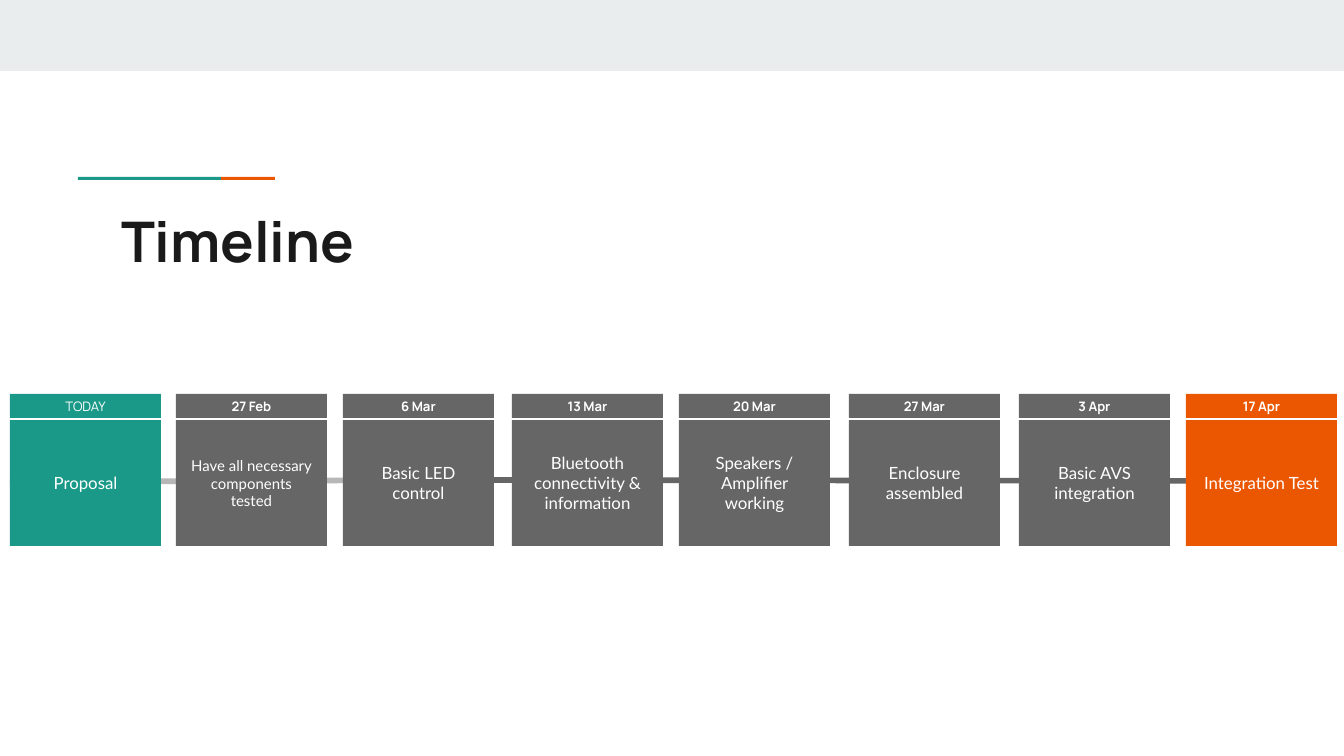
"""Build a project timeline slide with eight dated milestones."""
import dataclasses

import pptx
import pptx.dml.color
import pptx.enum.shapes
import pptx.enum.text
import pptx.oxml
import pptx.oxml.ns
import pptx.util

EMU_PER_PX = 914400 / 134.4


@dataclasses.dataclass(frozen=True)
class Theme:
    band: str = "E9EDEE"
    teal: str = "1A9988"
    orange: str = "EB5600"
    grey: str = "666666"
    pale_grey: str = "B7B7B7"
    ink: str = "1A1A1A"
    white: str = "FFFFFF"
    heading_font: str = "Manrope"
    body_font: str = "Lato"
    title_size: int = 30
    date_size: int = 7
    task_size: int = 9
    long_task_size: int = 8
    track_width: int = 3
    inset: int = 13


def px(length):
    return pptx.util.Emu(round(length * EMU_PER_PX))


def rgb(color):
    return pptx.dml.color.RGBColor.from_string(color)


class TimelineSlide:
    def __init__(self, deck, theme):
        self.theme = theme
        self.slide = deck.slides.add_slide(deck.slide_layouts[5])

    def set_text(self, shape, text, font, size, color, bold, align, anchor):
        frame = shape.text_frame
        frame.text = text
        frame.word_wrap = True
        frame.auto_size = pptx.enum.text.MSO_AUTO_SIZE.NONE
        frame.vertical_anchor = anchor
        frame.margin_left = frame.margin_right = px(self.theme.inset)
        frame.margin_top = frame.margin_bottom = px(self.theme.inset)
        paragraph = frame.paragraphs[0]
        paragraph.alignment = align
        for run in paragraph.runs:
            run.font.name = font
            run.font.size = pptx.util.Pt(size)
            run.font.bold = bold
            run.font.color.rgb = rgb(color)

    def title(self, text, left, top, width, height):
        heading = self.slide.shapes.title
        heading.left, heading.top = px(left), px(top)
        heading.width, heading.height = px(width), px(height)
        self.set_text(heading, text, self.theme.heading_font, self.theme.title_size,
                      self.theme.ink, True, pptx.enum.text.PP_ALIGN.LEFT,
                      pptx.enum.text.MSO_ANCHOR.TOP)

    def block(self, left, top, width, height, color):
        block = self.slide.shapes.add_shape(
            pptx.enum.shapes.MSO_SHAPE.RECTANGLE,
            px(left), px(top), px(width), px(height))
        block.shadow.inherit = False
        block.fill.solid()
        block.fill.fore_color.rgb = rgb(color)
        block.line.fill.background()
        return block

    def label(self, text, left, top, width, height, color, font, size, bold):
        self.set_text(self.block(left, top, width, height, color), text, font, size,
                      self.theme.white, bold, pptx.enum.text.PP_ALIGN.CENTER,
                      pptx.enum.text.MSO_ANCHOR.MIDDLE)

    def track(self, x1, y1, x2, y2, color):
        track = self.slide.shapes.add_connector(
            pptx.enum.shapes.MSO_CONNECTOR.STRAIGHT, px(x1), px(y1), px(x2), px(y2))
        track.line.color.rgb = rgb(color)
        track.line.width = pptx.util.Pt(self.theme.track_width)
        properties = track._element.spPr
        properties.append(pptx.oxml.parse_xml(
            f"<a:effectLst {pptx.oxml.ns.nsdecls('a')}/>"))

    def milestone(self, left, date, task, color, task_size, date_bold):
        theme = self.theme
        self.label(task, left, 420, 151, 126, color, theme.body_font, task_size, False)
        self.label(date, left, 394, 151, 24, color, theme.heading_font,
                   theme.date_size, date_bold)


def main():
    theme = Theme()
    deck = pptx.Presentation()
    deck.slide_width, deck.slide_height = px(1344), px(756)
    timeline = TimelineSlide(deck, theme)

    timeline.block(0, 0, 1344, 71, theme.band)
    timeline.block(78, 177, 143, 3, theme.teal)
    timeline.block(221, 177, 54, 3, theme.orange)
    timeline.title("Timeline", 108, 194, 1130, 79)
    timeline.track(470, 480, 1228, 481, theme.grey)
    timeline.track(10, 482, 443, 480, theme.pale_grey)

    milestones = [
        (10, "TODAY", "Proposal", theme.teal, theme.task_size, False),
        (176, "27 Feb", "Have all necessary components tested", theme.grey,
         theme.long_task_size, True),
        (343, "6 Mar", "Basic LED control", theme.grey, theme.task_size, True),
        (512, "13 Mar", "Bluetooth connectivity & information", theme.grey,
         theme.task_size, True),
        (679, "20 Mar", "Speakers / Amplifier working", theme.grey,
         theme.task_size, True),
        (849, "27 Mar", "Enclosure assembled", theme.grey, theme.task_size, True),
        (1019, "3 Apr", "Basic AVS integration", theme.grey, theme.task_size, True),
        (1186, "17 Apr", "Integration Test", theme.orange, theme.task_size, True),
    ]
    for milestone in milestones:
        timeline.milestone(*milestone)

    deck.save("out.pptx")


if __name__ == "__main__":
    main()
